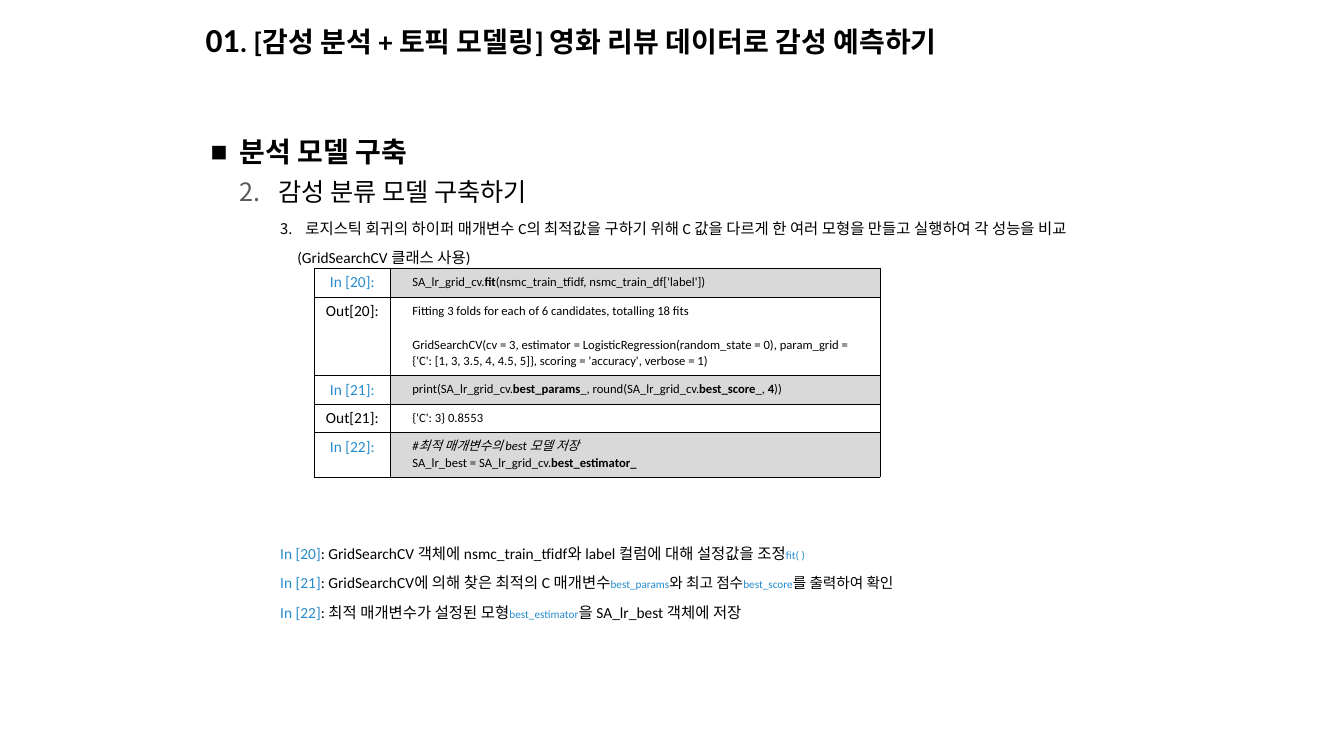
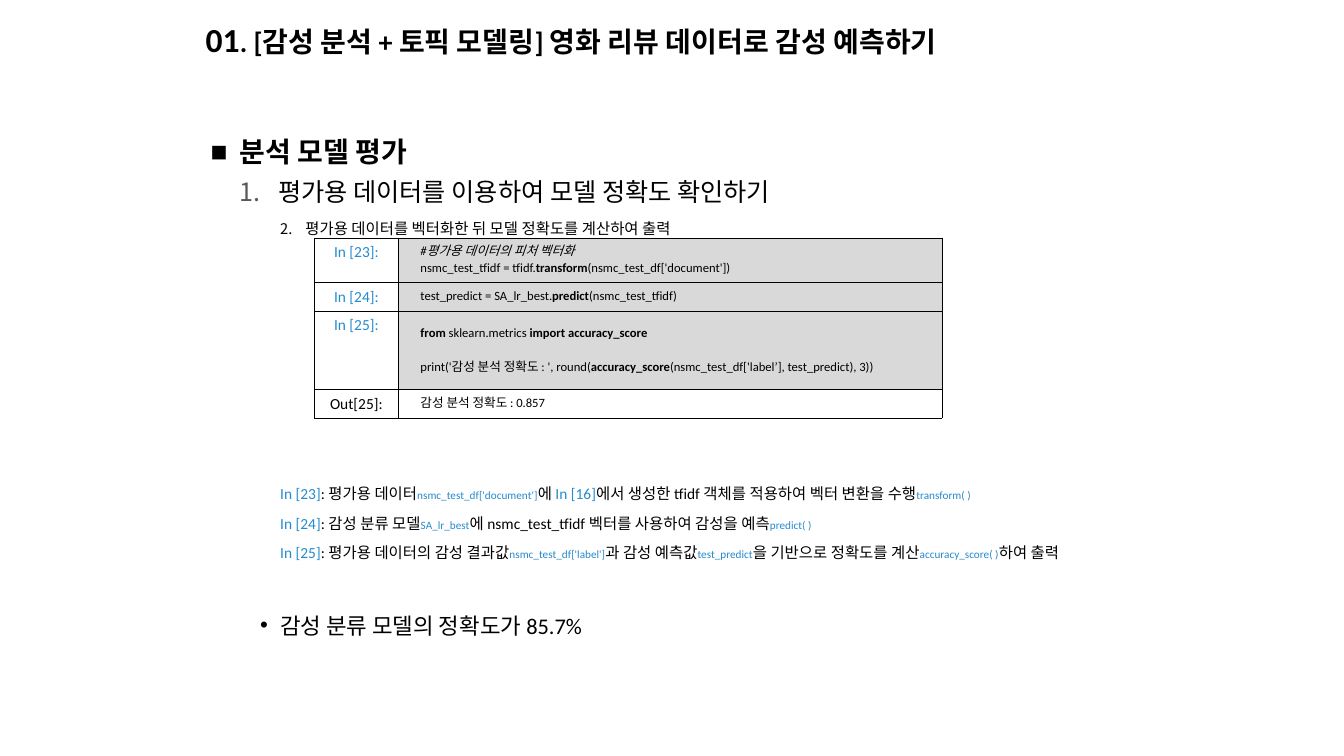
from lxml import etree
from pptx import Presentation
from pptx import util as u
from pptx.dml.color import RGBColor
from pptx.enum import text
from pptx.oxml import ns

SCALE = 9144
COLORS = {"ink": "000000", "blue": "258BCD", "gray": "595959",
          "code": "D9D9D9", "paper": "FFFFFF"}
BODY_LEFT, BODY_WIDTH = 199, 968
TABLE_LEFT = 312
NOTE_INDENT = 69


def px(n):
    """Turn px into EMU."""
    return u.Emu(n * SCALE)


def rgb(name):
    """Look up a colour by its name."""
    return RGBColor.from_string(COLORS[name])


def add_run(p, words, size, color="ink", name="Calibri", **fmt):
    """Append a formatted run to a paragraph."""
    r = p.add_run()
    r.text = words
    r.font.color.rgb = rgb(color)
    for key, value in {"size": u.Pt(size), "name": name, **fmt}.items():
        setattr(r.font, key, value)


def next_paragraph(tf, line, before=0, after=0):
    """Give the next free paragraph with an exact line height in points."""
    p = tf.paragraphs[0]
    if p.runs:
        p = tf.add_paragraph()
    fmt = {"line_spacing": line, "space_before": before, "space_after": after}
    for key, value in fmt.items():
        setattr(p, key, u.Pt(value))
    return p


def set_indent(p, left, hanging=0):
    """Set the left margin and hanging indent of a paragraph."""
    pPr = p._p.get_or_add_pPr()
    pPr.set("marL", str(px(left)))
    pPr.set("indent", str(px(-hanging)))
    return pPr


def set_bullet(p, left, hanging, char=None, start=1, color="ink", percent=100):
    """Put a character or an automatic number before a paragraph."""
    pPr = set_indent(p, left, hanging)
    clr = etree.SubElement(pPr, ns.qn("a:buClr"))
    etree.SubElement(clr, ns.qn("a:srgbClr"), val=COLORS[color])
    etree.SubElement(pPr, ns.qn("a:buSzPct"), val=str(percent * 1000))
    if char:
        etree.SubElement(pPr, ns.qn("a:buFont"), typeface="Arial")
        etree.SubElement(pPr, ns.qn("a:buChar"), char=char)
    else:
        etree.SubElement(pPr, ns.qn("a:buFont"), typeface="Calibri")
        etree.SubElement(pPr, ns.qn("a:buAutoNum"), type="arabicPeriod",
                         startAt=str(start))


def add_title(s):
    """Format the chapter title in its placeholder."""
    sp = s.shapes.title
    box = {"left": 194, "top": 11, "width": 950, "height": 60}
    for key, value in box.items():
        setattr(sp, key, px(value))
    tf = sp.text_frame
    fmt = {"auto_size": text.MSO_AUTO_SIZE.NONE, "word_wrap": True,
           "vertical_anchor": text.MSO_ANCHOR.MIDDLE}
    for key, value in fmt.items():
        setattr(tf, key, value)
    p = tf.paragraphs[0]
    p.alignment, p.line_spacing = text.PP_ALIGN.LEFT, 0.9
    add_run(p, "01", 24, bold=True)
    add_run(p, ". [감성 분석 + 토픽 모델링] 영화 리뷰 데이터로 감성 예측하기",
            20, bold=True)


def add_body(s, top, height):
    """Add a wrapping text box in the body column."""
    sp = s.shapes.add_textbox(px(BODY_LEFT), px(top), px(BODY_WIDTH), px(height))
    sp.text_frame.word_wrap = True
    return sp.text_frame


def add_headings(s, section, step, detail, number, remark=None):
    """Add the section, its numbered step and the numbered detail."""
    tf = add_body(s, 129, 140)
    p = next_paragraph(tf, 24)
    set_bullet(p, 29, 29, char="■")
    add_run(p, section, 20, name="Arial", bold=True)
    p = next_paragraph(tf, 22, 5, 4)
    set_bullet(p, 67, 38, start=number, color="gray")
    add_run(p, step, 18)
    p = next_paragraph(tf, 13, 5, 3)
    set_bullet(p, 94, 25, start=number, percent=96)
    add_run(p, detail, 11)
    if remark:
        p = next_paragraph(tf, 13, 5, 3)
        set_indent(p, 86)
        add_run(p, remark, 11)


def format_cell(cell, fill):
    """Fill a cell and draw its thin borders."""
    tcPr = cell._tc.get_or_add_tcPr()
    for side in ("lnL", "lnR", "lnT", "lnB"):
        ln = etree.SubElement(tcPr, ns.qn("a:" + side), w=str(u.Pt(0.25)))
        solid = etree.SubElement(ln, ns.qn("a:solidFill"))
        etree.SubElement(solid, ns.qn("a:srgbClr"), val=COLORS["ink"])
    cell.fill.solid()
    cell.fill.fore_color.rgb = rgb(fill)
    for side in ("left", "right"):
        setattr(cell, "margin_" + side, px(10))
    for side in ("top", "bottom"):
        setattr(cell, "margin_" + side, px(5))


def fill_code(cell, lines):
    """Write code lines: stars enclose bold, an empty line makes a gap."""
    cell.vertical_anchor = text.MSO_ANCHOR.MIDDLE
    gap = 0.5
    for line in lines:
        if not line:
            gap = 13
            continue
        p = next_paragraph(cell.text_frame, 11, gap, 0.5)
        set_indent(p, 12)
        gap = 0.5
        for i, part in enumerate(line.split("*")):
            if part:
                add_run(p, part, 9, bold=i % 2 == 1, italic=line.startswith("#"))


def add_notebook(s, top, widths, rows):
    """Add a table of notebook cells from (label, height, lines) rows."""
    heights = [height for _, height, _ in rows]
    frame = s.shapes.add_table(len(rows), 2, px(TABLE_LEFT), px(top),
                               px(sum(widths)), px(sum(heights)))
    tbl = frame.table
    tbl.first_row = tbl.horz_banding = False
    for col, width in zip(tbl.columns, widths):
        col.width = px(width)
    for i, (label, height, lines) in enumerate(rows):
        tbl.rows[i].height = px(height)
        is_input = label.startswith("In")
        name, code = tbl.cell(i, 0), tbl.cell(i, 1)
        format_cell(name, "paper")
        format_cell(code, "code" if is_input else "paper")
        p = name.text_frame.paragraphs[0]
        p.alignment = text.PP_ALIGN.CENTER
        add_run(p, label, 11, "blue" if is_input else "ink")
        fill_code(code, lines)


def add_notes(s, top, notes):
    """Add notes whose bar-separated parts alternate blue and black."""
    tf = add_body(s, top, 95)
    for size, note in notes:
        p = next_paragraph(tf, 13, 0, 8)
        set_indent(p, NOTE_INDENT)
        for i, part in enumerate(note.split("|")):
            if i % 2:
                add_run(p, part, 11 if part.startswith(": ") else size)
            else:
                add_run(p, part, 11 if part.startswith("In [") else 8, "blue")


def add_conclusion(s, top, words):
    """Add the closing bullet."""
    p = next_paragraph(add_body(s, top, 40), 20)
    set_bullet(p, NOTE_INDENT, 20, char="•")
    add_run(p, words, 16)


def add_slide(prs):
    """Add a slide with the shared title."""
    s = prs.slides.add_slide(prs.slide_layouts[5])
    add_title(s)
    return s


def build_model_slide(prs):
    """Build the slide on the grid search."""
    s = add_slide(prs)
    add_headings(
        s, "분석 모델 구축", "감성 분류 모델 구축하기",
        "로지스틱 회귀의 하이퍼 매개변수 C의 최적값을 구하기 위해 C 값을 다르게 한 "
        "여러 모형을 만들고 실행하여 각 성능을 비교",
        2, "(GridSearchCV 클래스 사용)")
    add_notebook(s, 266, (75, 486), [
        ("In [20]:", 28,
         ["SA_lr_grid_cv.*fit*(nsmc_train_tfidf, nsmc_train_df['label'])"]),
        ("Out[20]:", 78,
         ["Fitting 3 folds for each of 6 candidates, totalling 18 fits", "",
          "GridSearchCV(cv = 3, estimator = LogisticRegression(random_state = 0), "
          "param_grid = {'C': [1, 3, 3.5, 4, 4.5, 5]}, scoring = 'accuracy', "
          "verbose = 1)"]),
        ("In [21]:", 28,
         ["print(SA_lr_grid_cv.*best_params*_, "
          "round(SA_lr_grid_cv.*best_score*_,* 4*))"]),
        ("Out[21]:", 28, ["{'C': 3} 0.8553"]),
        ("In [22]:", 44,
         ["#최적 매개변수의 best 모델 저장",
          "SA_lr_best = SA_lr_grid_cv.*best_estimator_*"]),
    ])
    add_notes(s, 535, [
        (11, "In [20]|: GridSearchCV 객체에 nsmc_train_tfidf와 label 컬럼에 대해 "
             "설정값을 조정|fit( )"),
        (10.5, "In [21]|: GridSearchCV에 의해 찾은 최적의 C 매개변수|best_params|"
               "와 최고 점수|best_score|를 출력하여 확인"),
        (11, "In [22]|: 최적 매개변수가 설정된 모형|best_estimator|"
             "을 SA_lr_best 객체에 저장"),
    ])


def build_evaluation_slide(prs):
    """Build the slide on the model accuracy."""
    s = add_slide(prs)
    add_headings(
        s, "분석 모델 평가", "평가용 데이터를 이용하여 모델 정확도 확인하기",
        "평가용 데이터를 벡터화한 뒤 모델 정확도를 계산하여 출력", 1)
    add_notebook(s, 236, (83, 539), [
        ("In [23]:", 44,
         ["#평가용 데이터의 피처 벡터화",
          "nsmc_test_tfidf = tfidf.*transform*(nsmc_test_df['document'])"]),
        ("In [24]:", 28, ["test_predict = SA_lr_best.*predict*(nsmc_test_tfidf)"]),
        ("In [25]:", 78,
         ["*from *sklearn.metrics *import accuracy_score*", "",
          "print('감성 분석 정확도 : ', "
          "round(*accuracy_score*(nsmc_test_df['label’], test_predict), 3))"]),
        ("Out[25]:", 28, ["감성 분석 정확도 : 0.857"]),
    ])
    add_notes(s, 476, [
        (11, "In [23]|: 평가용 데이터|nsmc_test_df['document']|에 |In [16]|"
             "에서 생성한 tfidf 객체를 적용하여 벡터 변환을 수행|transform( )"),
        (11, "In [24]|: 감성 분류 모델|SA_lr_best|"
             "에 nsmc_test_tfidf 벡터를 사용하여 감성을 예측|predict( )"),
        (11, "In [25]|: 평가용 데이터의 감성 결과값|nsmc_test_df['label']|"
             "과 감성 예측값|test_predict|을 기반으로 정확도를 계산|"
             "accuracy_score( )|하여 출력"),
    ])
    add_conclusion(s, 601, "감성 분류 모델의 정확도가 85.7%")


def main():
    """Build and save the presentation."""
    prs = Presentation()
    prs.slide_width, prs.slide_height = px(1333), px(750)
    build_model_slide(prs)
    build_evaluation_slide(prs)
    prs.save("out.pptx")


if __name__ == "__main__":
    main()
